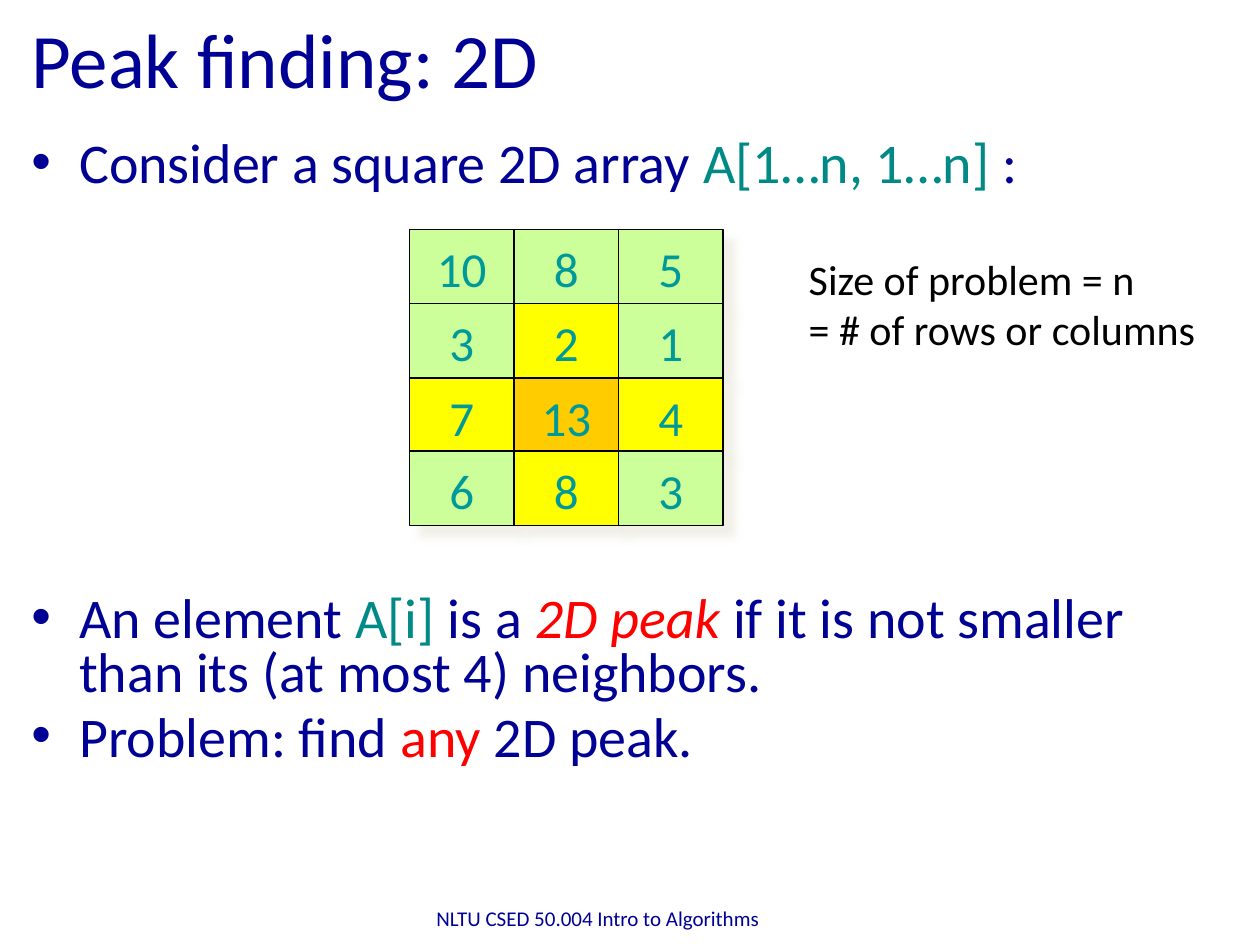
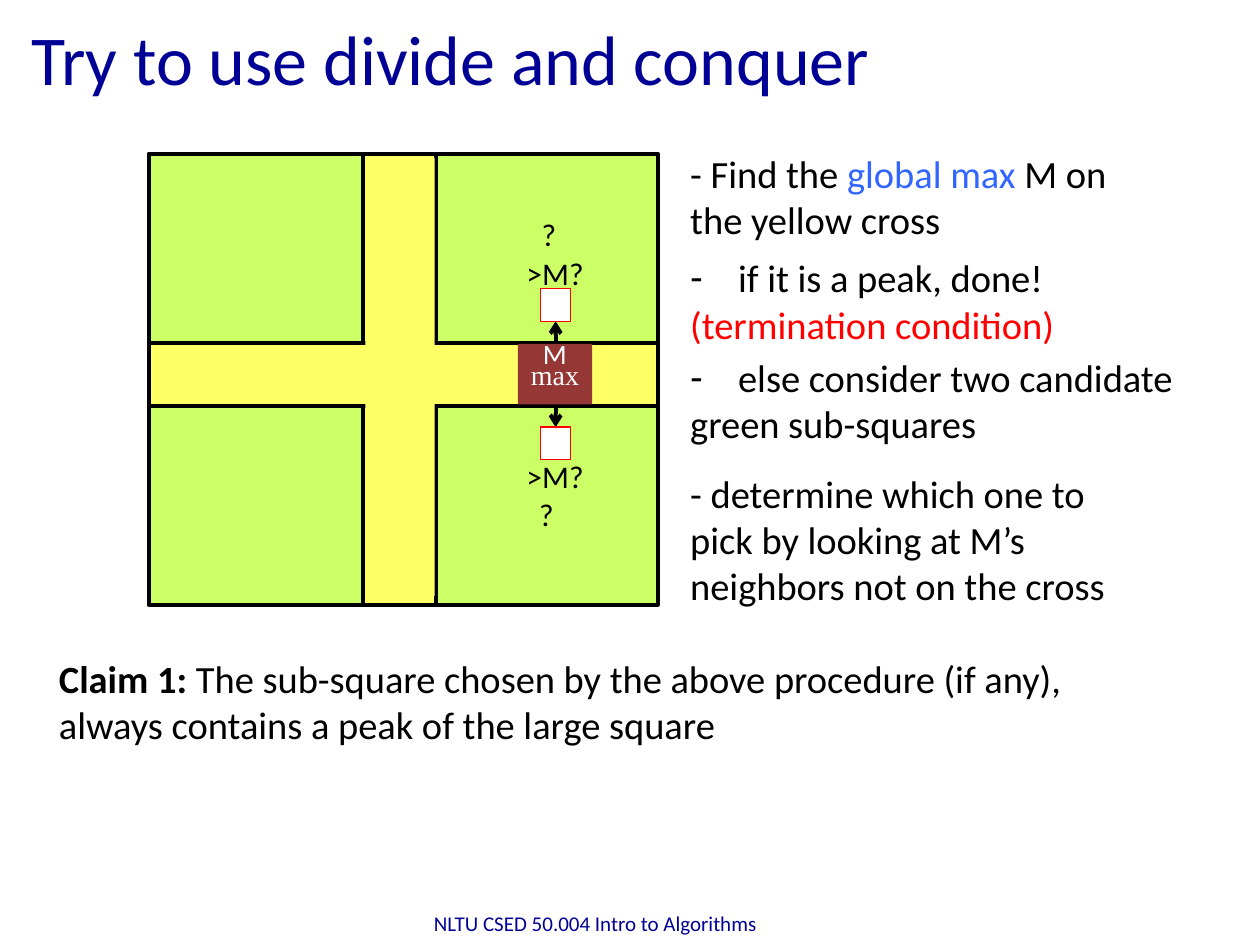
"""Two lecture slides on finding a peak in a 2D array."""
from collections import namedtuple
from dataclasses import dataclass

from lxml import etree
from pptx import Presentation
from pptx import util as u
from pptx.dml import color
from pptx.enum import shapes, text
from pptx.oxml import ns

Box = namedtuple("Box", "left top width height")
Span = namedtuple("Span", "words color bold italic", defaults=(None, False, False))


@dataclass(frozen=True)
class Theme:
    """Fonts, colours and type sizes of the lecture."""
    font: str = "Calibri"
    serif: str = "Times New Roman"
    navy: str = "000095"
    teal: str = "008A87"
    cell_text: str = "009999"
    red: str = "FF0000"
    blue: str = "3366FF"
    black: str = "000000"
    white: str = "FFFFFF"
    brown: str = "953735"
    shadow: str = "EEECE1"
    pale_green: str = "CCFF99"
    yellow: str = "FFFF00"
    orange: str = "FFCC00"
    square_green: str = "CCFF66"
    cross_yellow: str = "FFFF66"
    bullet_size: int = 32
    cell_size: int = 28
    note_size: int = 24
    step_size: int = 22
    label_size: int = 18
    maximum_size: int = 16
    footer_size: int = 12
    thin: float = 0.75
    thick: float = 2.25


THEME = Theme()
FOOTER = "NLTU CSED 50.004 Intro to Algorithms"
ALIGN = text.PP_ALIGN
ANCHOR = text.MSO_ANCHOR


def rgb(value):
    """Turn a hex string into a colour."""
    return color.RGBColor.from_string(value)


def place(box):
    """Convert a box in inches to lengths."""
    return [u.Inches(round(length, 2)) for length in box]


def add_child(parent, tag, **attributes):
    """Append a DrawingML element."""
    return etree.SubElement(parent, ns.qn(tag), attributes)


def write(paragraph, spans, size, ink=THEME.black, font=THEME.font):
    """Add spans to a paragraph as formatted runs."""
    for span in spans:
        run = paragraph.add_run()
        run.text = span.words
        run.font.name = font
        run.font.size = u.Pt(size)
        run.font.bold = span.bold
        run.font.italic = span.italic
        run.font.color.rgb = rgb(span.color or ink)


def add_bullet(paragraph, mark):
    """Give a paragraph a hanging bullet."""
    properties = paragraph._p.get_or_add_pPr()
    indent = u.Inches(0.38)
    properties.set("marL", str(indent))
    properties.set("indent", str(-indent))
    add_child(properties, "a:buFont", typeface="Arial")
    add_child(properties, "a:buChar", char=mark)


def add_text(slide, box, lines, size, ink=THEME.black, wrap=True,
             align=ALIGN.LEFT, anchor=ANCHOR.TOP):
    """Add a text box with one paragraph for each list of spans."""
    shape = slide.shapes.add_textbox(*place(box))
    frame = shape.text_frame
    frame.word_wrap = wrap
    frame.vertical_anchor = anchor
    for index, spans in enumerate(lines):
        paragraph = frame.add_paragraph() if index else frame.paragraphs[0]
        paragraph.alignment = align
        write(paragraph, spans, size, ink)
    return frame.paragraphs


def add_rectangle(slide, box, fill, line=None, width=THEME.thin):
    """Add a flat rectangle with an optional outline."""
    shape = slide.shapes.add_shape(shapes.MSO_SHAPE.RECTANGLE, *place(box))
    shape.shadow.inherit = False
    shape.fill.solid()
    shape.fill.fore_color.rgb = rgb(fill)
    if line:
        shape.line.color.rgb = rgb(line)
        shape.line.width = u.Pt(width)
    else:
        shape.line.fill.background()
    return shape


def label_shape(shape, words, size, ink, font, anchor):
    """Write one centred label inside a shape."""
    frame = shape.text_frame
    frame.word_wrap = False
    frame.vertical_anchor = anchor
    frame.paragraphs[0].alignment = ALIGN.CENTER
    write(frame.paragraphs[0], [Span(words)], size, ink, font)


def add_shadow(shape):
    """Cast a soft shadow down and to the right."""
    effects = shape.element.spPr.find(ns.qn("a:effectLst"))
    outer = add_child(effects, "a:outerShdw", blurRad=str(u.Pt(5)),
                      dist=str(u.Pt(8.5)), dir="2700000", rotWithShape="0")
    tint = add_child(outer, "a:srgbClr", val=THEME.shadow)
    add_child(tint, "a:alpha", val="75000")


def add_arrow(slide, x, start, end):
    """Draw a vertical arrow from start to end."""
    connector = slide.shapes.add_connector(
        shapes.MSO_CONNECTOR.STRAIGHT, *place((x, start, x, end)))
    connector.line.color.rgb = rgb(THEME.black)
    connector.line.width = u.Pt(THEME.thick)
    properties = connector.element.spPr
    add_child(properties.find(ns.qn("a:ln")), "a:tailEnd", type="arrow")
    add_child(properties, "a:effectLst")


def add_slide(presentation, title, title_size, footer):
    """Add a slide with its title and footer."""
    slide = presentation.slides.add_slide(presentation.slide_layouts[5])
    shape = slide.shapes.title
    shape.left, shape.top, shape.width, shape.height = place((0.15, 0.03, 9, 0.85))
    frame = shape.text_frame
    frame.auto_size = text.MSO_AUTO_SIZE.NONE
    frame.vertical_anchor = ANCHOR.MIDDLE
    frame.paragraphs[0].alignment = ALIGN.LEFT
    write(frame.paragraphs[0], [Span(title)], title_size, THEME.navy)
    add_text(slide, footer, [[Span(FOOTER)]], THEME.footer_size, THEME.navy,
             align=ALIGN.CENTER, anchor=ANCHOR.MIDDLE)
    return slide


def add_bullets(slide, box, lines, gaps):
    """Add the main bullets, each with its own gap above."""
    paragraphs = add_text(slide, box, lines, THEME.bullet_size, THEME.navy)
    for paragraph, gap in zip(paragraphs, gaps):
        paragraph.line_spacing = 0.8
        paragraph.space_before = u.Pt(gap)
        add_bullet(paragraph, "\u2022")


def add_array(slide, box, rows, peak):
    """Draw the array with its peak and the peak's neighbours marked."""
    width, height = box.width / len(rows[0]), box.height / len(rows)
    fills = {0: THEME.orange, 1: THEME.yellow}
    for row, values in enumerate(rows):
        for column, value in enumerate(values):
            distance = abs(row - peak[0]) + abs(column - peak[1])
            cell = add_rectangle(
                slide,
                Box(box.left + column * width, box.top + row * height, width, height),
                fills.get(distance, THEME.pale_green), THEME.black)
            add_shadow(cell)
            label_shape(cell, str(value), THEME.cell_size, THEME.cell_text,
                        THEME.font, ANCHOR.BOTTOM)


def add_cross(slide, box):
    """Draw the large square divided by a yellow cross."""
    column = Box(box.left + 1.7, box.top, 0.58, box.height)
    band = Box(box.left, box.top + 1.5, box.width, 0.5)
    add_rectangle(slide, box, THEME.square_green, THEME.black, THEME.thick)
    for bar in (column, band):
        add_rectangle(slide, bar, THEME.cross_yellow, THEME.black, THEME.thick)
    inset = 0.02
    add_rectangle(slide, Box(column.left - 0.2, band.top + inset,
                             column.width + 0.34, band.height - 2 * inset),
                  THEME.cross_yellow)
    add_rectangle(slide, Box(column.left + inset, column.top + 0.03,
                             column.width - 0.03, column.height - 0.1),
                  THEME.cross_yellow)


def add_maximum(slide, box):
    """Draw the maximum with the neighbours above and below it."""
    center = box.left + box.width / 2
    middle = box.top + box.height / 2
    label_height = 0.4
    for direction, compare_top, question in (
            (-1, box.top - 0.76, (4.2, box.top - 1.07, 0.4)),
            (1, box.top + 0.85, (4.18, box.top + 1.15, 0.32))):
        add_arrow(slide, center, middle + direction * 0.17, middle + direction * 0.42)
        add_rectangle(slide, Box(center - 0.12, middle + direction * 0.55 - 0.13, 0.24, 0.26),
                      THEME.white, THEME.red)
        add_text(slide, Box(center - 0.33, compare_top, 0.66, label_height),
                 [[Span(">M?")]], THEME.label_size, wrap=False)
        add_text(slide, Box(*question, label_height),
                 [[Span("?")]], THEME.label_size, wrap=False)
    maximum = add_rectangle(slide, box, THEME.brown)
    label_shape(maximum, "max", THEME.maximum_size, THEME.white,
                THEME.serif, ANCHOR.MIDDLE)
    add_text(slide, Box(center - 0.2, box.top - 0.11, 0.39, 0.37), [[Span("M")]],
             THEME.maximum_size, THEME.white, wrap=False)


def add_step(slide, box, lines, dashed=False):
    """Write one step, with a hanging dash if asked."""
    paragraphs = add_text(slide, box, lines, THEME.step_size)
    if dashed:
        add_bullet(paragraphs[0], "-")


def build_array_slide(presentation):
    """Build the slide that defines a 2D peak."""
    slide = add_slide(presentation, "Peak finding: 2D", 44, Box(3.16, 7.09, 3.17, 0.4))
    add_bullets(slide, Box(0.15, 1.07, 9.55, 5.77), [
        [Span("Consider a square 2D array "),
         Span("A[1\u2026n, 1\u2026n] ", THEME.teal), Span(":")],
        [Span("An element "), Span("A[i]", THEME.teal), Span(" is a "),
         Span("2D peak ", THEME.red, italic=True),
         Span("if it is not smaller than its (at most 4) neighbors.")],
        [Span("Problem: find "), Span("any", THEME.red), Span(" 2D peak.")],
    ], (6.4, 229, 6.4))
    add_array(slide, Box(3.25, 1.82, 2.49, 2.35),
              [(10, 8, 5), (3, 2, 1), (7, 13, 4), (6, 8, 3)], (2, 1))
    add_text(slide, Box(6.32, 1.96, 3.31, 0.91),
             [[Span("Size of problem = n")], [Span("= # of rows or columns")]],
             THEME.note_size, wrap=False)


def build_divide_slide(presentation):
    """Build the slide on divide and conquer."""
    slide = add_slide(presentation, "Try to use divide and conquer", 40,
                      Box(3.14, 7.13, 3.17, 0.4))
    add_cross(slide, Box(1.18, 1.22, 4.04, 3.58))
    add_maximum(slide, Box(4.11, 2.73, 0.59, 0.48))
    left = 5.38
    add_step(slide, Box(left, 1.14, 3.53, 0.84), [
        [Span("- Find the "), Span("global max", THEME.blue),
         Span(" M on the yellow cross")]])
    add_step(slide, Box(left, 1.97, 3.83, 0.84), [
        [Span("if it is a peak, done!")],
        [Span("(termination condition)", THEME.red)]], dashed=True)
    add_step(slide, Box(left, 2.76, 4.07, 0.84), [
        [Span("else consider two candidate")],
        [Span("green sub-squares")]], dashed=True)
    add_step(slide, Box(left, 3.68, 3.53, 1.21), [
        [Span("- determine which one to pick by looking at M\u2019s "
              "neighbors not on the cross")]])
    add_step(slide, Box(0.37, 5.15, 9.03, 0.84), [
        [Span("Claim 1: ", bold=True),
         Span("The sub-square chosen by the above procedure (if any), "
              "always contains a peak of the large square")]])


def main():
    """Build and save the presentation."""
    presentation = Presentation()
    presentation.slide_width = u.Inches(10)
    presentation.slide_height = u.Inches(7.5)
    build_array_slide(presentation)
    build_divide_slide(presentation)
    presentation.save("out.pptx")


main()
